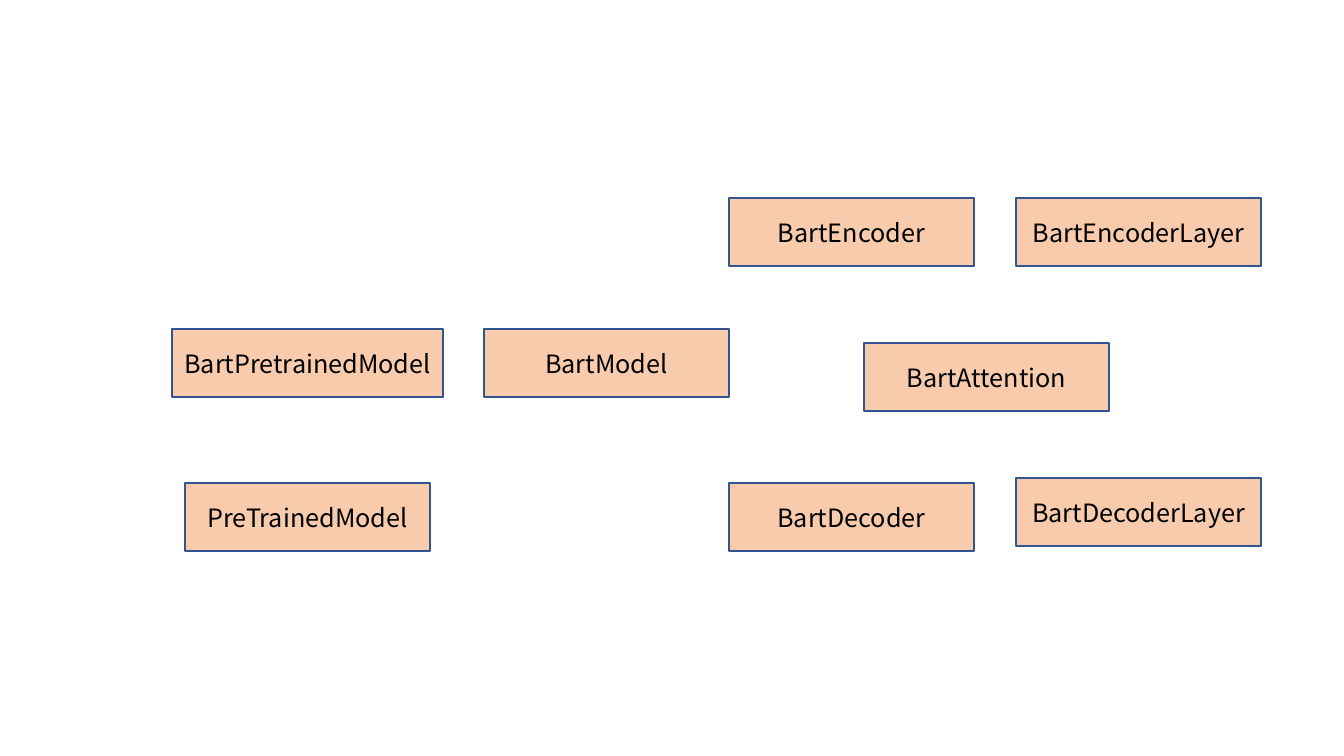
from dataclasses import dataclass

from pptx import Presentation
from pptx.dml.color import RGBColor
from pptx.enum.shapes import MSO_SHAPE
from pptx.enum.text import MSO_ANCHOR, PP_ALIGN
from pptx.slide import Slide
from pptx.util import Emu, Pt


@dataclass(frozen=True)
class Theme:
    fill: RGBColor = RGBColor(0xF8, 0xCB, 0xAD)
    line: RGBColor = RGBColor(0x32, 0x54, 0x91)
    text: RGBColor = RGBColor(0, 0, 0)
    font: str = "Noto Sans CJK SC"
    size: Pt = Pt(18)
    edge: Pt = Pt(1)


@dataclass(frozen=True)
class Box:
    text: str
    left: int
    top: int
    width: int = 245
    height: int = 68


THEME = Theme()
SCALE = 914400 / 100.8
FRAME = {"word_wrap": True, "vertical_anchor": MSO_ANCHOR.MIDDLE}
FONT = {"name": THEME.font, "size": THEME.size}

MODEL, CODER, LAYER = 484, 729, 1016
UPPER, MIDDLE, LOWER = 198, 329, 483

BOXES = [
    Box("BartModel", MODEL, MIDDLE),
    Box("BartEncoder", CODER, UPPER),
    Box("BartDecoder", CODER, LOWER),
    Box("BartDecoderLayer", LAYER, 478),
    Box("BartEncoderLayer", LAYER, UPPER),
    Box("BartAttention", 864, 343),
    Box("BartPretrainedModel", 172, MIDDLE, width=271),
    Box("PreTrainedModel", 185, LOWER),
]


def emu(pixels: int) -> Emu:
    return Emu(round(pixels * SCALE))


def apply(target: object, values: dict) -> None:
    for key, value in values.items():
        setattr(target, key, value)


def draw(slide: Slide, box: Box) -> None:
    area = map(emu, (box.left, box.top, box.width, box.height))
    shape = slide.shapes.add_shape(MSO_SHAPE.RECTANGLE, *area)
    shape.shadow.inherit = False
    shape.fill.solid()
    shape.fill.fore_color.rgb = THEME.fill
    shape.line.color.rgb = THEME.line
    shape.line.width = THEME.edge
    frame = shape.text_frame
    apply(frame, FRAME)
    para = frame.paragraphs[0]
    para.alignment = PP_ALIGN.CENTER
    run = para.add_run()
    run.text = box.text
    apply(run.font, FONT)
    run.font.color.rgb = THEME.text


def main() -> None:
    deck = Presentation()
    apply(deck, {"slide_width": emu(1344), "slide_height": emu(756)})
    slide = deck.slides.add_slide(deck.slide_layouts[6])
    for box in BOXES:
        draw(slide, box)
    deck.save("out.pptx")


main()
